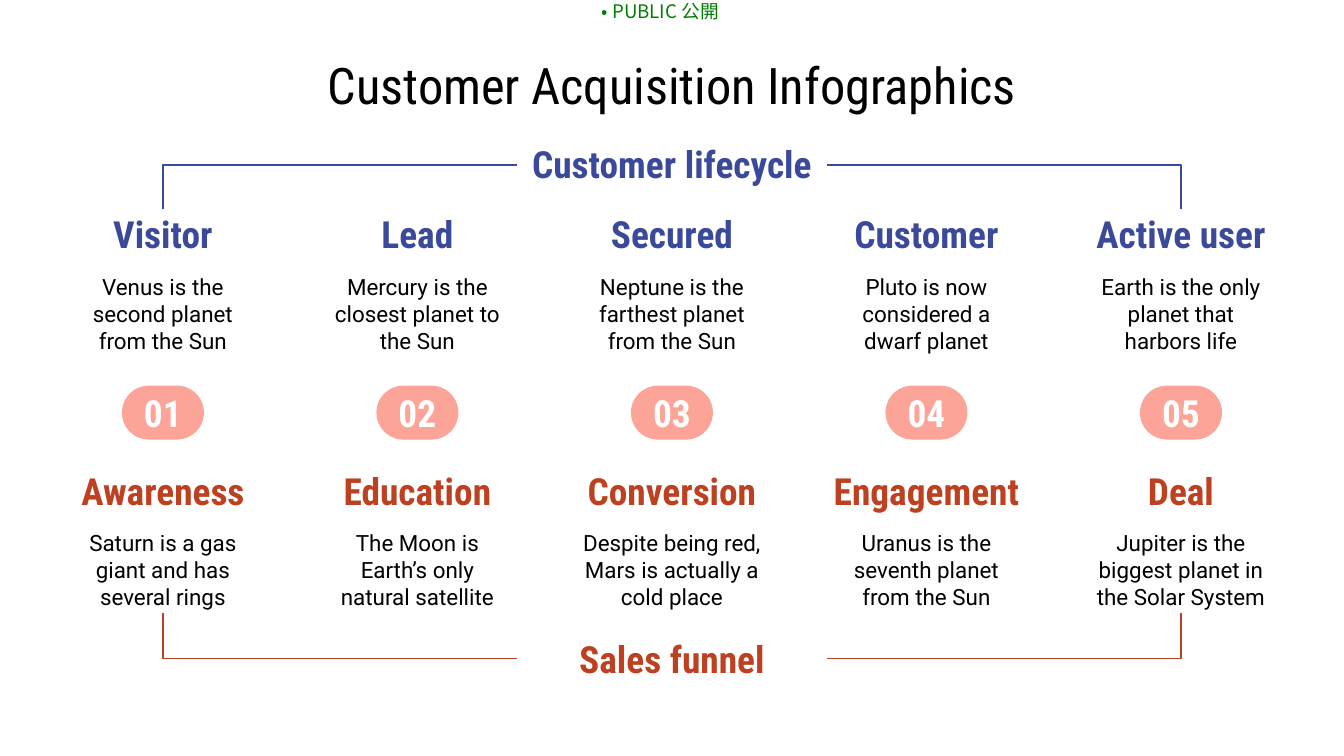
import pptx
import pptx.util
import pptx.dml.color
import pptx.enum.shapes
import pptx.enum.text
import pptx.oxml.ns
import lxml.etree

Cm = pptx.util.Cm
qn = pptx.oxml.ns.qn

COLORS = {
    "lifecycle": "3B499B",
    "funnel": "BD4120",
    "pill": "FCA497",
    "black": "000000",
    "white": "FFFFFF",
    "public": "008000",
}
CONDENSED = "Roboto Condensed"
MARKING = "• PUBLIC 公開"
TITLE = "Customer Acquisition Infographics"

TRACKS = [
    {
        "name": "Customer lifecycle", "color": "lifecycle",
        "name_top": 2.64, "heading_top": 3.96, "body_top": 5.08,
        "bracket": (3.12, 3.96),
        "steps": [
            ("Visitor", "Venus is the second planet from the Sun"),
            ("Lead", "Mercury is the closest planet to the Sun"),
            ("Secured", "Neptune is the farthest planet from the Sun"),
            ("Customer", "Pluto is now considered a dwarf planet"),
            ("Active user", "Earth is the only planet that harbors life"),
        ],
    },
    {
        "name": "Sales funnel", "color": "funnel",
        "name_top": 11.99, "heading_top": 8.81, "body_top": 9.91,
        "bracket": (12.45, 11.58),
        "steps": [
            ("Awareness", "Saturn is a gas giant and has several rings"),
            ("Education", "The Moon is Earth’s only natural satellite"),
            ("Conversion", "Despite being red, Mars is actually a cold place"),
            ("Engagement", "Uranus is the seventh planet from the Sun"),
            ("Deal", "Jupiter is the biggest planet in the Solar System"),
        ],
    },
]

MIDDLE = 12.7
PITCH = 4.81
CENTERS = [MIDDLE + PITCH * (i - 2) for i in range(5)]
NAME_WIDTH = 5.87
HEADING_HEIGHT = 0.91

presentation = pptx.Presentation()
presentation.slide_width = Cm(25.4)
presentation.slide_height = Cm(14.29)
slide = presentation.slides.add_slide(presentation.slide_layouts[6])


def rgb(color):
    return pptx.dml.color.RGBColor.from_string(COLORS[color])


def write(shape, text, size, font, color, bold=False, inset=0.25):
    frame = shape.text_frame
    frame.text = text
    frame.word_wrap = True
    frame.margin_left = frame.margin_right = Cm(inset)
    frame.margin_top = frame.margin_bottom = Cm(inset)
    frame.vertical_anchor = pptx.enum.text.MSO_ANCHOR.MIDDLE
    paragraph = frame.paragraphs[0]
    paragraph.alignment = pptx.enum.text.PP_ALIGN.CENTER
    run = paragraph.runs[0]
    run.font.size = pptx.util.Pt(size)
    run.font.name = font
    run.font.bold = bold
    run.font.color.rgb = rgb(color)
    return run


def centered_box(center, top, width, height):
    return slide.shapes.add_textbox(
        Cm(center - width / 2), Cm(top), Cm(width), Cm(height))


def add_bracket(start_x, end_x, start_y, end_y, color):
    bracket = slide.shapes.add_connector(
        pptx.enum.shapes.MSO_CONNECTOR.ELBOW,
        Cm(start_x), Cm(start_y), Cm(end_x), Cm(end_y))
    bracket.line.color.rgb = rgb(color)
    bracket.line.width = pptx.util.Pt(0.75)
    properties = bracket._element.spPr
    properties.find(qn("a:prstGeom")).set("prst", "bentConnector2")
    lxml.etree.SubElement(properties, qn("a:effectLst"))
    if end_y < start_y:
        transform = properties.find(qn("a:xfrm"))
        transform.set("rot", "10800000")
        transform.set("flipH", "1" if end_x > start_x else "0")
        transform.set("flipV", "0")


marking = centered_box(12.48, 0, 2.26, 0.43)
marking_run = write(marking, MARKING, 10, "Noto Sans CJK JP", "public", inset=0)
marking.text_frame.vertical_anchor = pptx.enum.text.MSO_ANCHOR.TOP
marking.text_frame.auto_size = pptx.enum.text.MSO_AUTO_SIZE.SHAPE_TO_FIT_TEXT
east_asian = lxml.etree.SubElement(marking_run.font._element, qn("a:ea"))
east_asian.set("typeface", "Noto Sans CJK JP")

write(centered_box(MIDDLE, 1.14, 22.89, HEADING_HEIGHT), TITLE, 27, CONDENSED, "black")

for track in TRACKS:
    color = track["color"]
    for center, (heading, body) in zip(CENTERS, track["steps"]):
        write(centered_box(center, track["heading_top"], 4.6, HEADING_HEIGHT),
              heading, 20, CONDENSED, color, bold=True)
        write(centered_box(center, track["body_top"], 3.96, 1.7),
              body, 12, "Roboto", "black")
    write(centered_box(MIDDLE, track["name_top"], NAME_WIDTH, HEADING_HEIGHT),
          track["name"], 20, CONDENSED, color, bold=True)
    for side, end_x in ((-1, CENTERS[0]), (1, CENTERS[-1])):
        add_bracket(MIDDLE + side * NAME_WIDTH / 2, end_x, *track["bracket"], color)

for number, center in enumerate(CENTERS, 1):
    pill = slide.shapes.add_shape(
        pptx.enum.shapes.MSO_SHAPE.ROUNDED_RECTANGLE,
        Cm(center - 0.775), Cm(7.29), Cm(1.55), Cm(1.02))
    pill.adjustments[0] = 0.5
    pill.shadow.inherit = False
    pill.fill.solid()
    pill.fill.fore_color.rgb = rgb("pill")
    pill.line.fill.background()
    write(pill, f"{number:02d}", 20, CONDENSED, "white", bold=True)

presentation.save("out.pptx")
